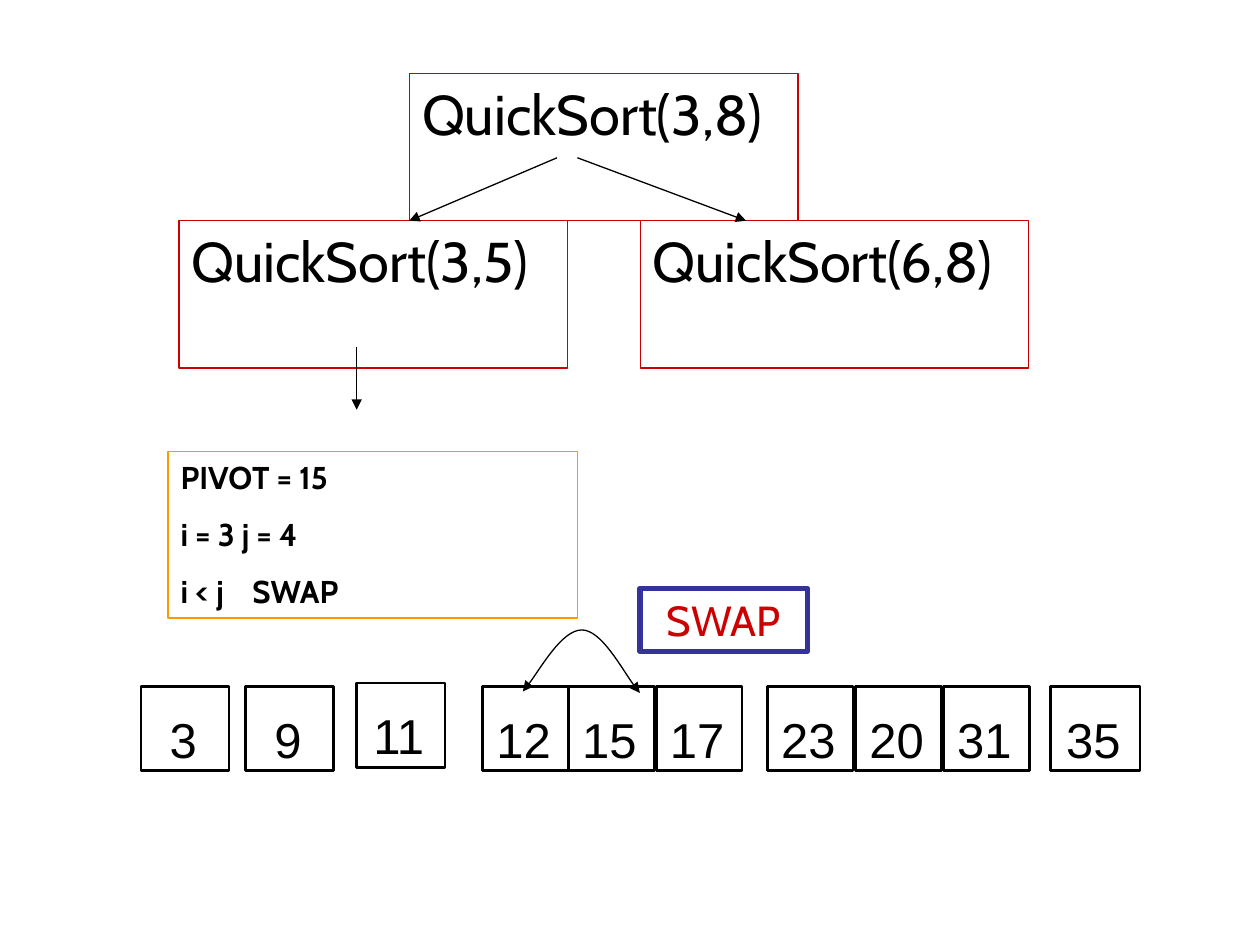
from pptx import Presentation
from pptx.util import Cm, Pt
from pptx.dml.color import RGBColor
from pptx.enum.shapes import MSO_SHAPE as Shape, MSO_CONNECTOR as Link
from pptx.enum.text import PP_ALIGN as Align, MSO_ANCHOR as Anchor
from pptx.oxml.ns import qn
from lxml.etree import SubElement as sub

HEAD = dict(size=Pt(32), name="Cabin")
NOTE = dict(size=Pt(18), name="Cabin", bold=True)
TAG = dict(size=Pt(24), name="Cabin")
DIGIT = dict(size=Pt(28), name="Arial")


def rgb(code):
    return RGBColor.from_string(code)


def write(shape, lines, form, color="000000", align=Align.LEFT, gap=0, tab=None, wrap=True):
    frame = shape.text_frame
    frame.word_wrap = wrap
    frame.vertical_anchor = Anchor.TOP
    for i, line in enumerate(lines):
        para = frame.add_paragraph() if i else frame.paragraphs[0]
        para.text = line
        para.alignment = align
        if i:
            para.space_before = Pt(gap)
        if "\t" in line:
            stops = sub(para._p.get_or_add_pPr(), qn("a:tabLst"))
            sub(stops, qn("a:tab"), pos=str(Cm(tab)), algn="l")
        for key, val in form.items():
            setattr(para.font, key, val)
        para.font.color.rgb = rgb(color)


def frame_box(slide, x, y, w, h, color, width):
    box = slide.shapes.add_shape(Shape.RECTANGLE, Cm(x), Cm(y), Cm(w), Cm(h))
    box.shadow.inherit = False
    box.fill.background()
    box.line.color.rgb = rgb(color)
    box.line.width = Pt(width)
    return box


def ink(item, ends):
    """Thin black line with arrowheads at the named ends."""
    item.line.color.rgb = rgb("000000")
    item.line.width = Pt(0.75)
    for end in ends:
        sub(item.line._get_or_add_ln(), qn("a:" + end), type="triangle")


def arrow(slide, x1, y1, x2, y2):
    line = slide.shapes.add_connector(Link.STRAIGHT, Cm(x1), Cm(y1), Cm(x2), Cm(y2))
    ink(line, ["tailEnd"])
    sub(line._element.spPr, qn("a:effectLst"))


def curve(slide, points):
    """Draw a start point followed by groups of three Bezier points."""
    points = [(Cm(x), Cm(y)) for x, y in points]
    pen = slide.shapes.build_freeform(*points[0])
    pen.add_line_segments(points[1:], close=False)
    arc = pen.convert_to_shape()
    arc.shadow.inherit = False
    arc.fill.background()
    ink(arc, ["headEnd", "tailEnd"])
    # Join each three straight steps into one Bezier step
    steps = list(arc._element.iter(qn("a:lnTo")))
    trail = steps[0].getparent()
    for i in range(0, len(steps), 3):
        bend = sub(trail, qn("a:cubicBezTo"))
        for step in steps[i:i + 3]:
            bend.append(step[0])
            trail.remove(step)


def call_tree(slide, x, y, w, h):
    node_w, node_h = 7.83, h / 2
    # Calls
    nodes = [((w - node_w) / 2, 0, "3,8"), (w - node_w, node_h, "6,8"), (0, node_h, "3,5")]
    for dx, dy, span in nodes:
        node = frame_box(slide, x + dx, y + dy, node_w, node_h, "CC0000", 0.75)
        write(node, [f"QuickSort({span})"], HEAD)
    # Arrows to the next calls and to the state
    for x1, y1, x2, y2 in [(7.62, 1.7, 4.64, 2.97), (8.03, 1.7, 11.43, 2.97),
                           (3.58, 5.51, 3.58, 6.78)]:
        arrow(slide, x + x1, y + y1, x + x2, y + y2)


def state(slide, x, y, w, h):
    box = frame_box(slide, x, y, w, h, "FF9900", 0.75)
    write(box, ["PIVOT = 15", "i = 3 j = 4", "i < j\tSWAP"], NOTE, gap=11.2, tab=1.45)


def array(slide, x, y, h):
    # Cells: value, left, width, rise
    cells = [(3, 0, 1.78, 0), (9, 2.11, 1.78, 0), (11, 4.35, 1.78, 0.07),
             (12, 6.89, 1.73, 0), (15, 8.62, 1.73, 0), (17, 10.39, 1.73, 0),
             (23, 12.63, 1.73, 0), (20, 14.41, 1.73, 0), (31, 16.18, 1.73, 0),
             (35, 18.34, 1.8, 0)]
    for num, dx, w, rise in cells:
        frame_box(slide, x + dx, y - rise, w, h, "000000", 1.5)
        wide = 1.6 if num > 9 else 1.04
        left = x + dx + (w - wide) / 2 - 0.04
        label = slide.shapes.add_textbox(Cm(left), Cm(y - rise + 0.33), Cm(wide), Cm(1.45))
        write(label, [str(num)], DIGIT, align=Align.CENTER, wrap=False)
    # Swap mark
    arc = [(7.7, 0.1), (7.9, -0.1), (8.49, -1.14), (8.89, -1.14),
           (9.28, -1.14), (9.83, -0.12), (10.06, 0.13)]
    curve(slide, [(x + dx, y + dy) for dx, dy in arc])
    tag = frame_box(slide, x + 10.06, y - 1.98, 3.38, 1.27, "333399", 3)
    write(tag, ["SWAP"], TAG, "CC0000", Align.CENTER)


def main():
    deck = Presentation()
    deck.slide_width, deck.slide_height = Cm(25.4), Cm(19.05)
    slide = deck.slides.add_slide(deck.slide_layouts[6])
    call_tree(slide, 3.61, 1.48, 17.13, 5.94)
    state(slide, 3.39, 9.1, 8.26, 3.36)
    array(slide, 2.84, 13.84, 1.7)
    deck.save("out.pptx")


if __name__ == "__main__":
    main()
